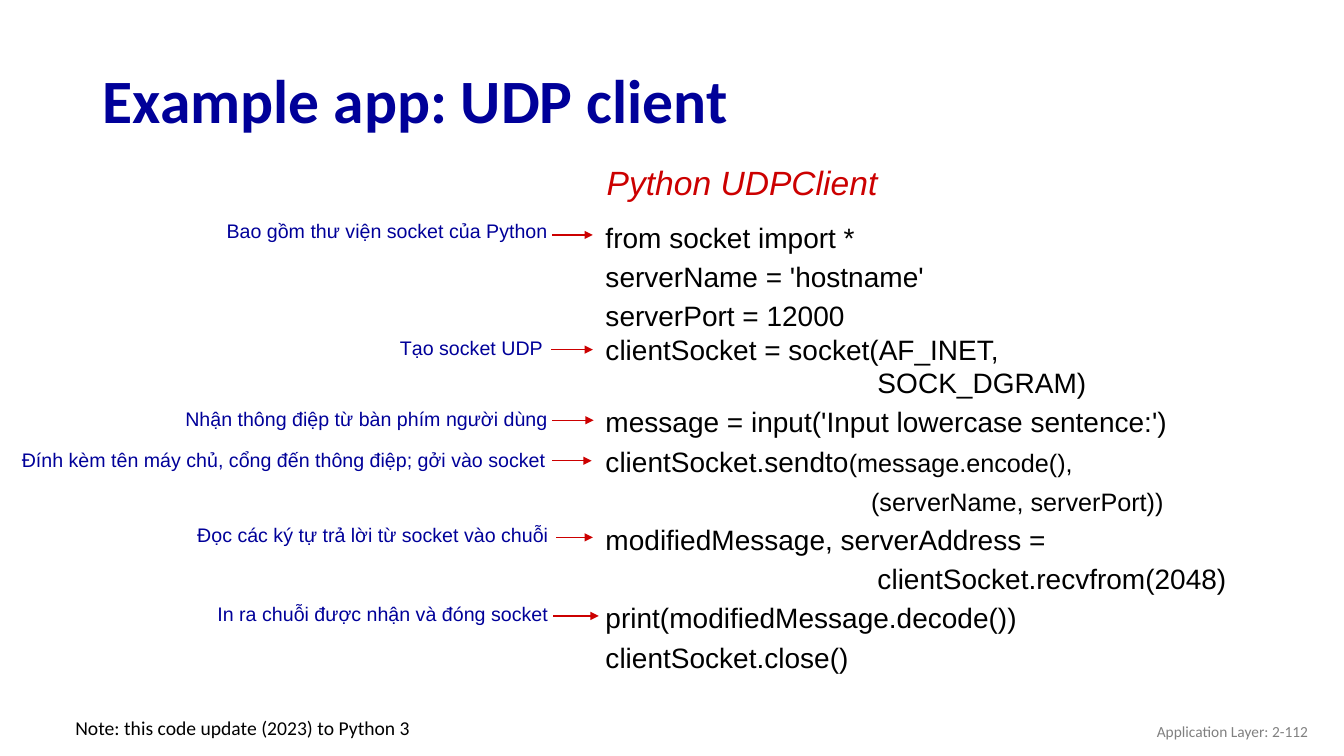
import pptx
import pptx.util
import pptx.dml.color
import pptx.enum.shapes
import pptx.enum.text
import pptx.oxml.ns
import lxml.etree

Cm = pptx.util.Cm
Pt = pptx.util.Pt
ALIGN = pptx.enum.text.PP_ALIGN
ANCHOR = pptx.enum.text.MSO_ANCHOR
NAVY, RED, BLACK, GRAY = "000099", "CC0000", "000000", "808080"

CODE = [
    ("from socket import *", 28),
    ("serverName = 'hostname'", 28),
    ("serverPort = 12000", 28),
    ("clientSocket = socket(AF_INET,", 24),
    ("                                   SOCK_DGRAM)", 24),
    ("message = input('Input lowercase sentence:')", 28),
    ("clientSocket.sendto", 28),
    ("                                      (serverName, serverPort))", 28),
    ("modifiedMessage, serverAddress =", 28),
    ("                                   clientSocket.recvfrom(2048)", 28),
    ("print(modifiedMessage.decode())", 28),
    ("clientSocket.close()", 28),
]
SENDTO_LINE, ADDRESS_LINE = 6, 7

ANNOTATIONS = [
    ("Bao gồm thư viện socket của Python", 5.46, 5.46, 9.78, 0.89, 13.92, 14.94, 5.92),
    ("Tạo socket UDP", 9.83, 8.33, 7.65, 1.0, 13.89, 14.94, 8.81),
    ("Nhận thông điệp từ bàn phím người dùng", 4.42, 10.19, 12.07, 0.89, 13.92, 14.96, 10.59),
    ("Đính kèm tên máy chủ, cổng đến thông điệp; gởi vào socket",
     0.3, 11.15, 14.45, 1.0, 13.92, 14.91, 11.61),
    ("Đọc các ký tự trả lời từ socket vào chuỗi", 4.72, 13.06, 12.6, 1.0, 14.02, 14.94, 13.54),
    ("In ra chuỗi được nhận và đóng socket", 5.23, 15.04, 9.58, 1.0, 13.94, 15.09, 15.52),
]


def rgb(value):
    return pptx.dml.color.RGBColor.from_string(value)


def style(run, size, color, font="Arial", bold=False, italic=False):
    run.font.size = Pt(size)
    run.font.name = font
    run.font.color.rgb = rgb(color)
    run.font.bold = bold
    run.font.italic = italic


def add_frame(shapes, left, top, width, height, wrap=True):
    frame = shapes.add_textbox(Cm(left), Cm(top), Cm(width), Cm(height)).text_frame
    frame.word_wrap = wrap
    return frame


def add_label(shapes, text, box, size, color, wrap=True, **look):
    frame = add_frame(shapes, *box, wrap=wrap)
    frame.text = text
    style(frame.paragraphs[0].runs[0], size, color, **look)
    return frame


def add_arrow(shapes, start, end, y):
    arrow = shapes.add_connector(
        pptx.enum.shapes.MSO_CONNECTOR.STRAIGHT, Cm(start), Cm(y), Cm(end), Cm(y))
    arrow.line.color.rgb = rgb(RED)
    arrow.line.width = Pt(1)
    properties = arrow._element.spPr
    outline = properties.find(pptx.oxml.ns.qn("a:ln"))
    lxml.etree.SubElement(outline, pptx.oxml.ns.qn("a:tailEnd"), type="triangle")
    lxml.etree.SubElement(properties, pptx.oxml.ns.qn("a:effectLst"))


def add_annotation(slide, text, left, top, width, spacing, start, end, y):
    group = slide.shapes.add_group_shape()
    label = add_label(group.shapes, text, (left, top, width, 0.86), 14, NAVY)
    label.paragraphs[0].line_spacing = spacing
    add_arrow(group.shapes, start, end, y)


def add_title(slide, text):
    title = slide.shapes.title
    title.left, title.top, title.width, title.height = Cm(2.34), Cm(1.24), Cm(29.21), Cm(2.49)
    title.text_frame.text = text
    title.text_frame.vertical_anchor = ANCHOR.MIDDLE
    heading = title.text_frame.paragraphs[0]
    heading.alignment = ALIGN.LEFT
    style(heading.runs[0], 44, NAVY, font="Calibri", bold=True)


def add_code(slide):
    listing = add_frame(slide.shapes, 15.01, 5.28, 16.36, 11.86, wrap=False)
    listing.text = "\n".join(text for text, _ in CODE)
    for number, (paragraph, (_, spacing)) in enumerate(zip(listing.paragraphs, CODE)):
        paragraph.line_spacing = Pt(spacing)
        style(paragraph.runs[0], 18 if number == ADDRESS_LINE else 20, BLACK)
    arguments = listing.paragraphs[SENDTO_LINE].add_run()
    arguments.text = "(message.encode(),"
    style(arguments, 18, BLACK)


def main():
    deck = pptx.Presentation()
    deck.slide_width, deck.slide_height = Cm(33.87), Cm(19.05)
    slide = deck.slides.add_slide(deck.slide_layouts[5])
    add_title(slide, "Example app: UDP client")
    add_code(slide)
    add_label(slide.shapes, "Python UDPClient", (15.04, 3.96, 7.62, 1.3), 24, RED,
              wrap=False, italic=True)
    for annotation in ANNOTATIONS:
        add_annotation(slide, *annotation)
    page = add_label(slide.shapes, "Application Layer: 2-112", (25.6, 17.91, 7.62, 1.02),
                     11, GRAY, font="Calibri")
    page.vertical_anchor = ANCHOR.MIDDLE
    page.paragraphs[0].alignment = ALIGN.RIGHT
    add_label(slide.shapes, "Note: this code update (2023) to Python 3",
              (1.65, 17.91, 9.04, 0.86), 14, BLACK, wrap=False, font="Calibri")
    deck.save("out.pptx")


if __name__ == "__main__":
    main()
